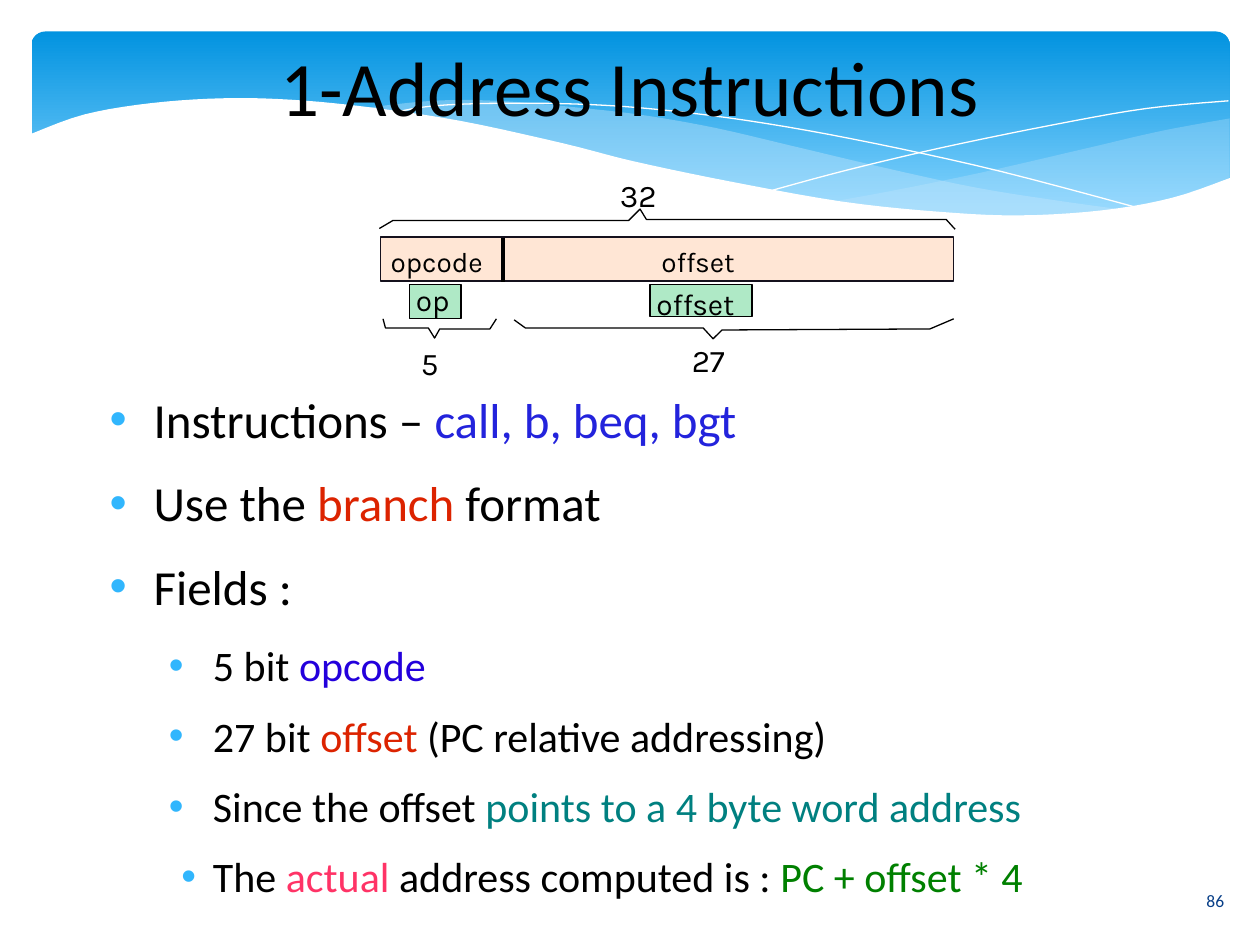
from lxml.etree import SubElement
from pptx import Presentation
from pptx.dml.color import RGBColor
from pptx.enum.shapes import MSO_CONNECTOR, MSO_SHAPE
from pptx.enum.text import MSO_ANCHOR, MSO_AUTO_SIZE, PP_ALIGN
from pptx.oxml.ns import qn
from pptx.util import Pt

BLACK, WHITE, WAVE = "000000", "FFFFFF", "C6E7FC"
BULLET, BLUE, RED = "31B6FD", "2323DC", "DC2300"


def color(target, value):
    target.rgb = RGBColor.from_string(value)


def paint(shape, fill=None, line=None, opacity=None):
    shape.shadow.inherit = False
    if fill:
        shape.fill.solid()
        color(shape.fill.fore_color, fill)
        if opacity:
            tint = shape.fill._xPr.find(qn("a:solidFill"))[0]
            SubElement(tint, qn("a:alpha"), val=str(opacity * 1000))
    else:
        shape.fill.background()
    if line:
        color(shape.line.color, line)
        shape.line.width = Pt(0)
    else:
        shape.line.fill.background()


def smooth(points, steps=5):
    ends = [points[0], *points, points[-1]]
    curve = [points[0]]
    for a, b, c, d in zip(ends, ends[1:], ends[2:], ends[3:]):
        for t in (step / steps for step in range(1, steps + 1)):
            curve.append(tuple(
                q + ((r - p) * t + (2 * p - 5 * q + 4 * r - s) * t ** 2
                     + (3 * q - p - 3 * r + s) * t ** 3) / 2
                for p, q, r, s in zip(a, b, c, d)))
    return curve


def outline(slide, left, top, points, close=False, **style):
    spots = [(Pt(left + x), Pt(top + y)) for x, y in points]
    builder = slide.shapes.build_freeform(*spots[0], scale=1.0)
    builder.add_line_segments(spots[1:], close=close)
    paint(builder.convert_to_shape(), **style)


def write(paragraph, parts, size, font="Calibri"):
    for text, tone in parts:
        run = paragraph.add_run()
        run.text = text
        run.font.size = Pt(size)
        run.font.name = font
        color(run.font.color, tone)


def text_area(slide, left, top, width, height, wrap=True):
    frame = slide.shapes.add_textbox(Pt(left), Pt(top), Pt(width), Pt(height)).text_frame
    frame.margin_left = frame.margin_right = frame.margin_top = frame.margin_bottom = 0
    frame.word_wrap = wrap
    frame.auto_size = MSO_AUTO_SIZE.NONE if wrap else MSO_AUTO_SIZE.SHAPE_TO_FIT_TEXT
    return frame


def centered(slide, box, text, size, tone):
    frame = text_area(slide, *box)
    frame.vertical_anchor = MSO_ANCHOR.MIDDLE
    frame.paragraphs[0].alignment = PP_ALIGN.CENTER
    write(frame.paragraphs[0], [(text, tone)], size)


def banner(slide, left, top, width, height):
    sky = slide.shapes.add_shape(MSO_SHAPE.ROUNDED_RECTANGLE, Pt(left), Pt(top), Pt(width), Pt(height))
    sky.adjustments[0] = 0.07
    paint(sky)
    sky.fill.gradient()
    sky.fill.gradient_angle = 270
    for stop, position, tone in zip(sky.fill.gradient_stops, (0, 0.9), ("0293E0", "83D3FE")):
        stop.position = position
        color(stop.color, tone)

    right_wave = smooth([(684.7, 49.7), (645, 57), (602, 67), (543, 80.6), (490, 91.4), (458, 97.2)])
    right_wave += smooth([(458, 97.2), (500, 102.2), (536, 105), (568, 105.8), (603, 104.4),
                          (634, 99.4), (660, 93), (684.7, 83.5)])
    middle_wave = smooth([(625, 102), (585, 96.5), (540, 89.3), (490, 78.5), (435, 65.5), (392, 55.4),
                          (352, 48.2), (317, 44), (269, 39.8), (230, 39.6), (188, 44)])
    middle_wave += smooth([(188, 44), (228, 49.7), (273, 58.3), (305, 65.5), (364, 79.2), (415, 90),
                           (461, 98), (502, 103), (539, 105.8), (571, 106.6), (599, 105), (625, 102)])
    for wave, opacity in ((right_wave, 29), (middle_wave, 40)):
        outline(slide, left, top, wave, close=True, fill=WAVE, opacity=opacity)

    falling = [(204.5, 46.8), (230, 42.5), (271, 41), (320, 41.8), (366, 45.4), (420, 52.6),
               (482, 64), (554, 80), (635, 101.5)]
    rising = [(423.4, 90.7), (466, 79.2), (521, 66.2), (584, 53.3), (637, 44), (684, 39.6)]
    for streak in (falling, rising):
        outline(slide, left, top, smooth(streak), line=WHITE)

    ground = smooth([(685.4, 83.5), (652, 95), (612, 102.2), (564.5, 105.1), (518, 103), (463, 97.2),
                     (399, 85.7), (344, 74.2), (304, 64), (245, 51.1), (192, 43.2), (148, 39),
                     (109, 38.2), (68, 41), (30, 47.5), (-1.4, 59)])
    outline(slide, left, top, ground + [(-1.4, 143), (685.4, 143)], close=True, fill=WHITE)


def branch_format(slide, left, top):
    for x, y, width, height, fill, line in (
            (1.4, 35.4, 327.6, 25.2, "FFE6D5", "15111D"),
            (155.5, 62.7, 58.3, 18, "AFE9C6", BLACK),
            (18, 62.7, 29.5, 19.4, "AFE9C6", BLACK)):
        field = slide.shapes.add_shape(MSO_SHAPE.RECTANGLE, Pt(left + x), Pt(top + y), Pt(width), Pt(height))
        paint(field, fill, line)

    divider = slide.shapes.add_connector(MSO_CONNECTOR.STRAIGHT, Pt(left + 71.5), Pt(top + 36),
                                         Pt(left + 71.5), Pt(top + 61.2))
    color(divider.line.color, BLACK)
    divider.line.width = Pt(0)
    SubElement(divider._element.spPr, qn("a:effectLst"))

    for brace in (
            [(0.8, 30.6), (8.6, 26), (143.3, 26), (149.8, 19.5), (153.4, 25.4), (324.7, 25.4), (329.8, 31)],
            [(2.9, 82.2), (4.3, 87.4), (28.8, 87.4), (32.4, 93.2), (35.3, 88), (64, 88), (67.7, 82.2)],
            [(77.8, 82.8), (84.2, 87.4), (185.8, 87.4), (191.5, 93.6), (196.6, 88.6), (315.4, 88), (329, 82.2)]):
        outline(slide, left, top, brace, line=BLACK)

    for text, size, x, y, width in (
            ("opcode", 16, 7.2, 39.7, 58.3), ("offset", 16, 162, 39.7, 45.4),
            ("op", 17, 21.6, 61.3, 25.9), ("offset", 17, 159.1, 63.4, 48.2),
            ("32", 18, 138.2, 0.8, 27.4), ("5", 18, 24.5, 96.6, 18), ("27", 18, 179.3, 95.1, 27.4)):
        frame = text_area(slide, left + x, top + y, width, size * 1.35, wrap=False)
        write(frame.paragraphs[0], [(text, BLACK)], size, "Karla")


def bullet_list(slide, box, items):
    frame = text_area(slide, *box)
    styles = ((28, 14.1, 33.8, 25.2), (24, 11.4, 67.7, 25.2), (24, 11.4, 67.7, 18))
    for index, (level, parts) in enumerate(items):
        paragraph = frame.add_paragraph() if index else frame.paragraphs[0]
        size, gap, indent, hanging = styles[level]
        paragraph.level = level
        paragraph.space_after = Pt(gap)
        write(paragraph, parts, size)
        props = paragraph._p.get_or_add_pPr()
        props.set("marL", str(Pt(indent)))
        props.set("indent", str(-Pt(hanging)))
        SubElement(SubElement(props, qn("a:buClr")), qn("a:srgbClr"), val=BULLET)
        SubElement(props, qn("a:buFont"), typeface="Arial")
        SubElement(props, qn("a:buChar"), char="•")


deck = Presentation()
deck.slide_width, deck.slide_height = Pt(720), Pt(540)
slide = deck.slides.add_slide(deck.slide_layouts[6])

banner(slide, 18, 18, 684.7, 112.3)
centered(slide, (672.5, 500.4, 44, 28.8), "86", 10, "073E87")
centered(slide, (18, 12.2, 684, 73.4), "1-Address Instructions", 44, BLACK)
bullet_list(slide, (54, 222.5, 666, 260), [
    (0, [("Instructions – ", BLACK), ("call, b, beq, bgt", BLUE)]),
    (0, [("Use the ", BLACK), ("branch", RED), (" format", BLACK)]),
    (0, [("Fields\u00a0:", BLACK)]),
    (1, [("5 bit ", BLACK), ("opcode", "2300DC")]),
    (1, [("27 bit ", BLACK), ("offset", RED), (" (PC relative addressing)", BLACK)]),
    (1, [("Since the offset ", BLACK), ("points to a 4 byte word address", "008080")]),
    (2, [("The ", BLACK), ("actual", "FF3366"), (" address computed is\u00a0: ", BLACK),
         ("PC + offset * 4", "008000")]),
])
branch_format(slide, 216, 100)
deck.save("out.pptx")
